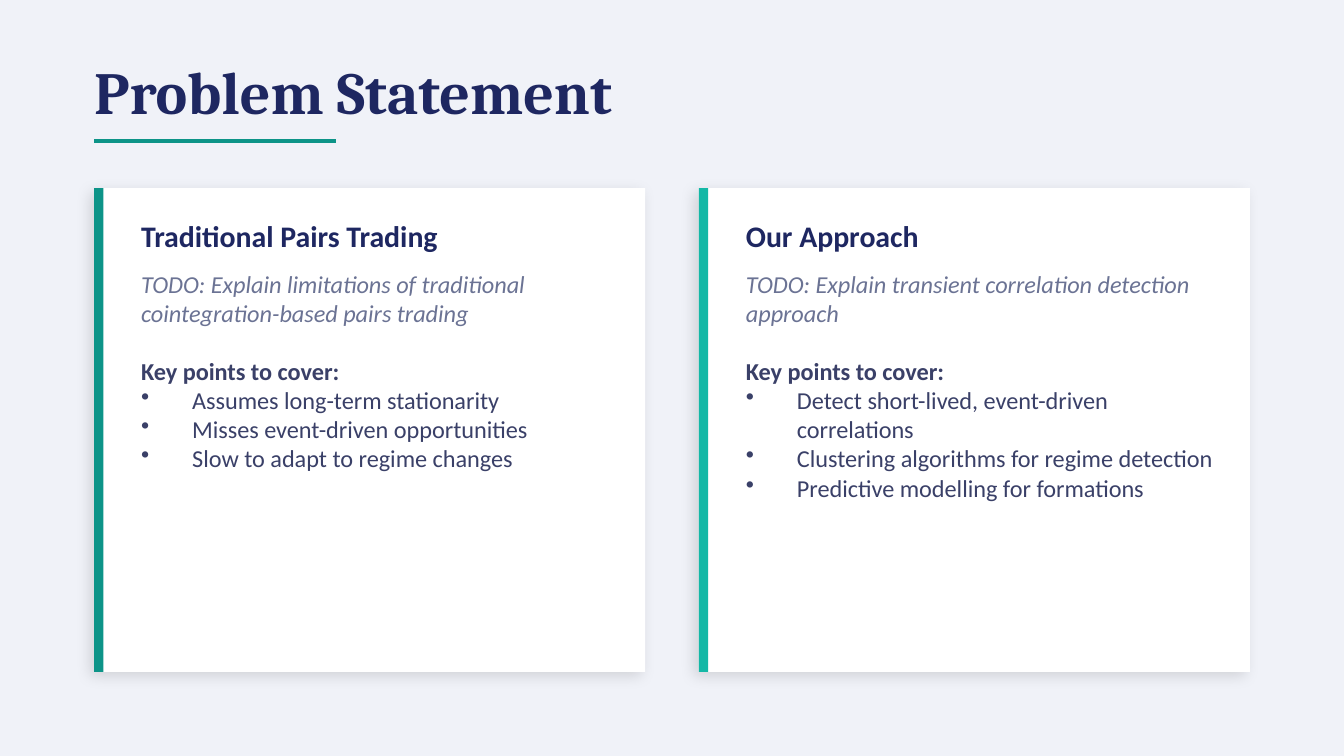
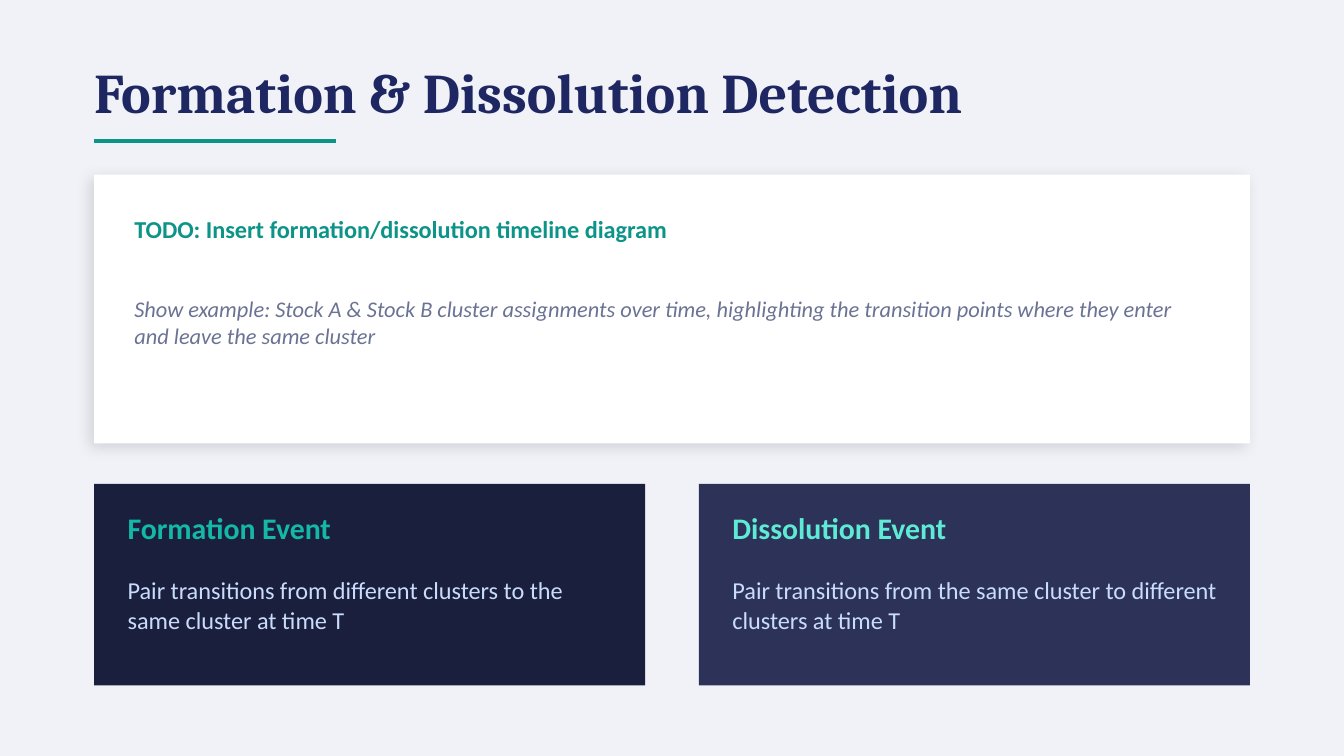
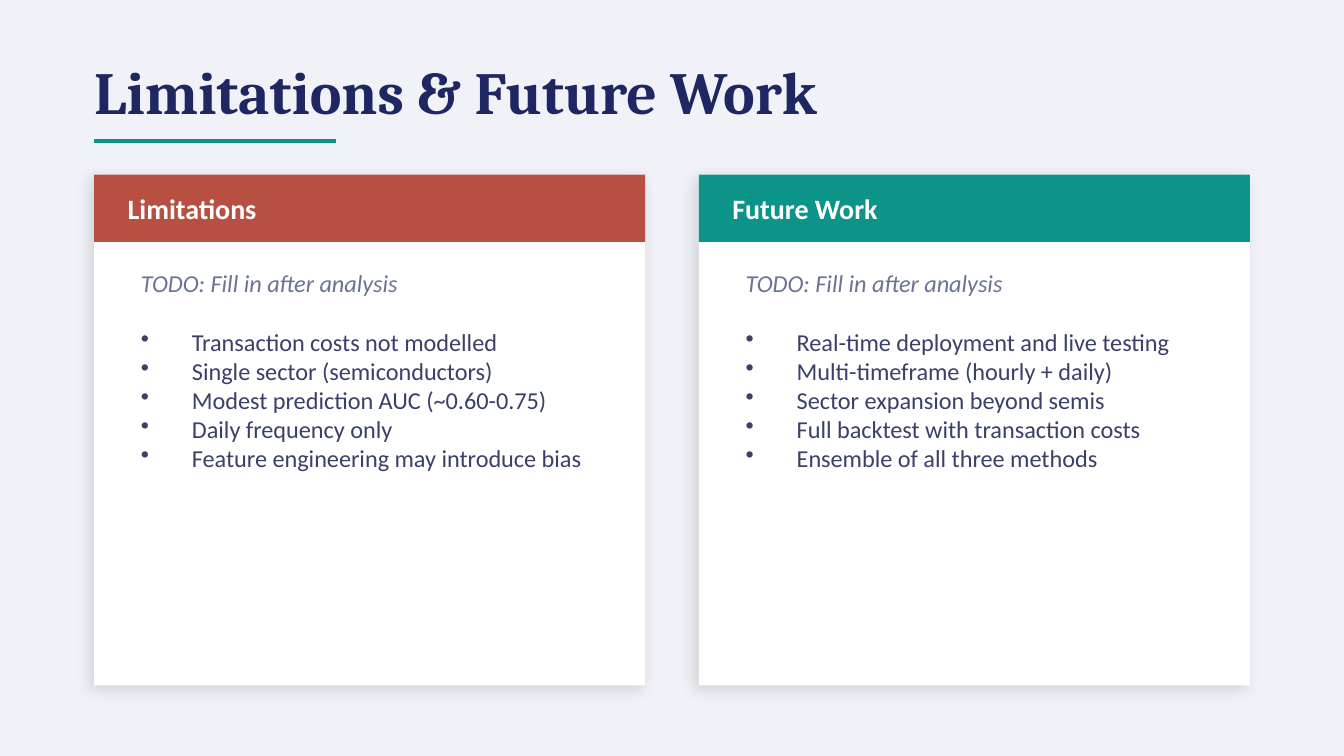
from lxml import etree
from pptx import Presentation, util as u
from pptx.dml.color import RGBColor
from pptx.enum import shapes, text
from pptx.oxml.ns import qn

COLORS = {
    "page": "F0F2F8", "white": "FFFFFF", "title": "1E2761", "body": "3A4068",
    "muted": "6B7394", "teal": "0D9488", "bright": "14B8A6", "mint": "5EEAD4",
    "night": "1A1F3D", "dusk": "2C3258", "ice": "CADCFC", "rust": "B85042",
    "shadow": "000000",
}
HEAD_FONT, BODY_FONT = "Cambria", "Calibri"

# Two-column grid, in inches
SLIDE_W = 10
MARGIN = 0.7
GUTTER = 0.4
CONTENT_W = SLIDE_W - 2 * MARGIN
COLUMN_W = (CONTENT_W - GUTTER) / 2
COLUMNS = [MARGIN + i * (COLUMN_W + GUTTER) for i in range(2)]
INSET = 0.25
INNER_W = COLUMN_W - 2 * INSET
BODY_SIZE = 13
LINE_GAP = 15.6


def rgb(name):
    return RGBColor.from_string(COLORS[name])


def add_bullet(paragraph):
    props = paragraph._p.get_or_add_pPr()
    indent = u.Inches(0.38)
    props.set("marL", str(indent))
    props.set("indent", str(-indent))
    etree.SubElement(props, qn("a:buChar"), char="•")


def write(frame, words, size=BODY_SIZE, color="body", font=BODY_FONT,
          bold=False, italic=False, bullet=False, after=0):
    """Add one formatted paragraph, filling the empty first one if there is one."""
    paragraph = frame.paragraphs[0]
    if paragraph.runs:
        paragraph = frame.add_paragraph()
    paragraph.alignment = text.PP_ALIGN.LEFT
    if after:
        paragraph.space_after = u.Pt(after)
    if bullet:
        add_bullet(paragraph)
    run = paragraph.add_run()
    run.text = words
    run.font.name, run.font.size = font, u.Pt(size)
    run.font.bold, run.font.italic = bold, italic
    run.font.color.rgb = rgb(color)


def set_up_frame(frame, anchor="MIDDLE", padding=(0, 0)):
    frame.word_wrap = True
    frame.auto_size = text.MSO_AUTO_SIZE.NONE
    frame.vertical_anchor = text.MSO_ANCHOR[anchor]
    frame.margin_left = frame.margin_right = u.Inches(padding[0])
    frame.margin_top = frame.margin_bottom = u.Inches(padding[1])
    return frame


def add_text(slide, box, **frame_format):
    area = slide.shapes.add_textbox(*map(u.Inches, box))
    return set_up_frame(area.text_frame, **frame_format)


def add_label(slide, box, words, **fmt):
    write(add_text(slide, box), words, **fmt)


def add_panel(slide, box, color, raised=False):
    """Draw a plain rectangle; a raised one casts a soft shadow."""
    panel = slide.shapes.add_shape(shapes.MSO_SHAPE.RECTANGLE, *map(u.Inches, box))
    panel.fill.solid()
    panel.fill.fore_color.rgb = rgb(color)
    panel.line.fill.background()
    panel.shadow.inherit = False
    if raised:
        effects = panel._element.spPr.find(qn("a:effectLst"))
        cast = etree.SubElement(effects, qn("a:outerShdw"), blurRad=str(u.Pt(8)),
                                dist=str(u.Pt(3)), dir=str(135 * 60000),
                                algn="bl", rotWithShape="0")
        tint = etree.SubElement(cast, qn("a:srgbClr"), val=COLORS["shadow"])
        etree.SubElement(tint, qn("a:alpha"), val="12000")


def add_titled_slide(prs, heading, size=32, width=8):
    slide = prs.slides.add_slide(prs.slide_layouts[5])
    title = slide.shapes.title
    title.left, title.top, title.width, title.height = map(
        u.Inches, (MARGIN, 0.35, width, 0.65))
    write(set_up_frame(title.text_frame), heading, size=size, color="title",
          font=HEAD_FONT, bold=True)
    rule = slide.shapes.add_connector(
        shapes.MSO_CONNECTOR.STRAIGHT,
        *map(u.Inches, (MARGIN, 1.05, MARGIN + 1.8, 1.05)))
    rule.line.color.rgb = rgb("teal")
    rule.line.width = u.Pt(2.5)
    etree.SubElement(rule._element.spPr, qn("a:effectLst"))
    return slide


def add_notes_list(frame, todo, points, lead=None):
    """Write an italic to-do, an optional bold lead-in and bulleted points."""
    write(frame, todo, color="muted", italic=True, after=LINE_GAP)
    if lead:
        write(frame, lead, bold=True)
    for point in points:
        write(frame, point, bullet=True)


def add_accent_card(slide, left, accent, heading, todo, points):
    top, height, indent = 1.4, 3.6, 0.35
    text_w = COLUMN_W - indent - 0.2
    add_panel(slide, (left, top, COLUMN_W, height), "white", raised=True)
    add_panel(slide, (left, top, 0.07, height), accent)
    add_label(slide, (left + indent, top + 0.15, text_w, 0.4), heading,
              size=16, color="title", bold=True)
    body = add_text(slide, (left + indent, top + 0.6, text_w, 2.6), anchor="TOP")
    add_notes_list(body, todo, points, lead="Key points to cover:")


def add_event_card(slide, left, fill, accent, heading, meaning):
    top = 3.6
    add_panel(slide, (left, top, COLUMN_W, 1.5), fill)
    add_label(slide, (left + INSET, top + 0.15, INNER_W, 0.35), heading,
              size=16, color=accent, bold=True)
    add_label(slide, (left + INSET, top + 0.55, INNER_W, 0.7), meaning, color="ice")


def add_banner_card(slide, left, banner, heading, points):
    top = 1.3
    add_panel(slide, (left, top, COLUMN_W, 3.8), "white", raised=True)
    add_panel(slide, (left, top, COLUMN_W, 0.5), banner)
    add_label(slide, (left + INSET, top + 0.05, INNER_W, 0.4), heading,
              size=15, color="white", bold=True)
    body = add_text(slide, (left + INSET, top + 0.65, INNER_W, 2.8),
                    anchor="TOP", padding=(0.1, 0.05))
    add_notes_list(body, "TODO: Fill in after analysis", points)


def add_timeline_card(slide):
    top, indent = 1.3, 0.3
    text_w = CONTENT_W - 2 * indent
    add_panel(slide, (MARGIN, top, CONTENT_W, 2), "white", raised=True)
    add_label(slide, (MARGIN + indent, top + 0.2, text_w, 0.4),
              "TODO: Insert formation/dissolution timeline diagram",
              color="teal", bold=True)
    add_label(slide, (MARGIN + indent, top + 0.7, text_w, 0.8),
              "Show example: Stock A & Stock B cluster assignments over time, "
              "highlighting the transition points where they enter and leave "
              "the same cluster", size=12, color="muted", italic=True)


def add_columns(slide, add_card, cards):
    for left, card in zip(COLUMNS, cards):
        add_card(slide, left, *card)


def main():
    prs = Presentation()
    prs.slide_width = u.Inches(SLIDE_W)
    prs.slide_height = prs.slide_width * 9 // 16
    page = prs.slide_master.background.fill
    page.solid()
    page.fore_color.rgb = rgb("page")

    problem = add_titled_slide(prs, "Problem Statement")
    add_columns(problem, add_accent_card, [
        ("teal", "Traditional Pairs Trading",
         "TODO: Explain limitations of traditional cointegration-based pairs trading",
         ["Assumes long-term stationarity",
          "Misses event-driven opportunities",
          "Slow to adapt to regime changes"]),
        ("bright", "Our Approach",
         "TODO: Explain transient correlation detection approach",
         ["Detect short-lived, event-driven correlations",
          "Clustering algorithms for regime detection",
          "Predictive modelling for formations"]),
    ])

    detection = add_titled_slide(prs, "Formation & Dissolution Detection",
                                 size=30, width=8.5)
    add_timeline_card(detection)
    add_columns(detection, add_event_card, [
        ("night", "bright", "Formation Event",
         "Pair transitions from different clusters to the same cluster at time T"),
        ("dusk", "mint", "Dissolution Event",
         "Pair transitions from the same cluster to different clusters at time T"),
    ])

    outlook = add_titled_slide(prs, "Limitations & Future Work")
    add_columns(outlook, add_banner_card, [
        ("rust", "Limitations",
         ["Transaction costs not modelled",
          "Single sector (semiconductors)",
          "Modest prediction AUC (~0.60-0.75)",
          "Daily frequency only",
          "Feature engineering may introduce bias"]),
        ("teal", "Future Work",
         ["Real-time deployment and live testing",
          "Multi-timeframe (hourly + daily)",
          "Sector expansion beyond semis",
          "Full backtest with transaction costs",
          "Ensemble of all three methods"]),
    ])
    prs.save("out.pptx")


if __name__ == "__main__":
    main()
